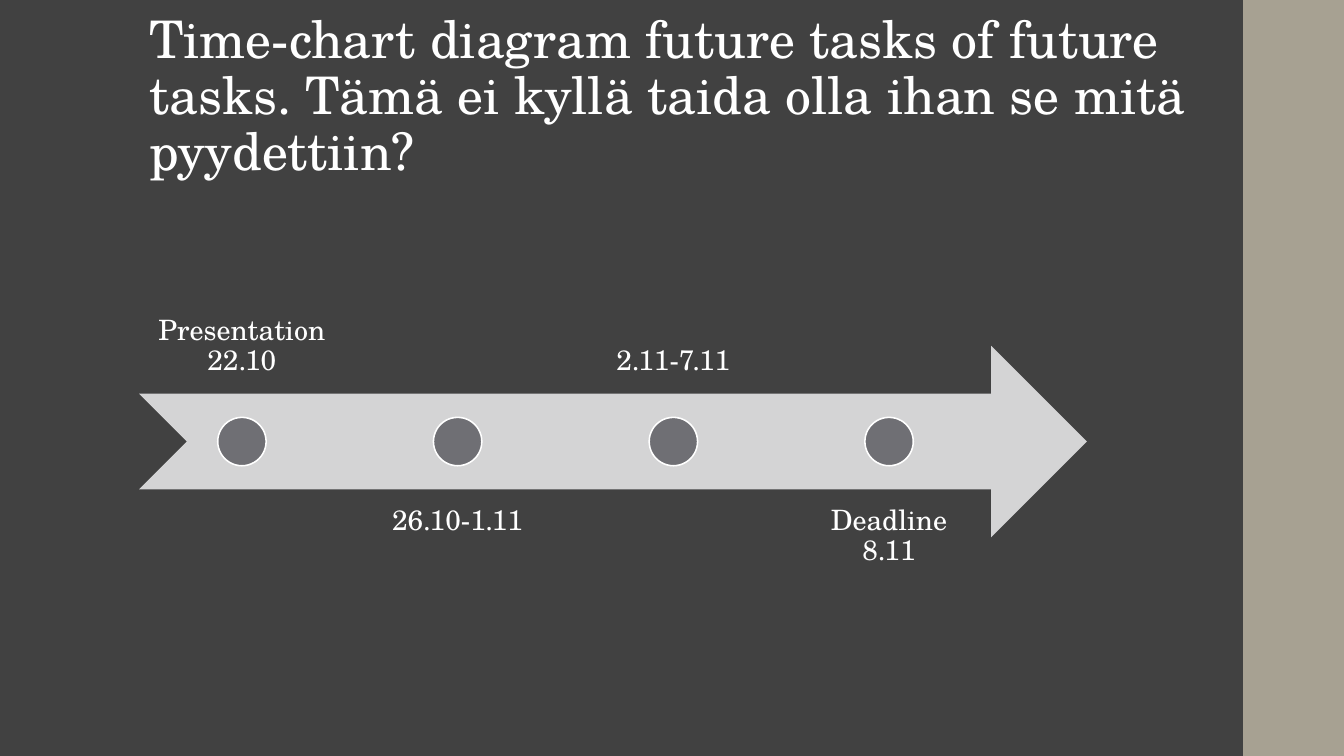
from dataclasses import dataclass

from pptx import Presentation
from pptx.dml.color import RGBColor
from pptx.enum.shapes import MSO_SHAPE
from pptx.enum.text import MSO_ANCHOR, MSO_AUTO_SIZE, PP_ALIGN
from pptx.shapes.autoshape import Shape
from pptx.shapes.shapetree import GroupShapes
from pptx.text.text import TextFrame
from pptx.util import Inches, Pt

WIDE, HIGH = Inches(13.33), Inches(7.5)


@dataclass(frozen=True)
class Theme:
    back: RGBColor = RGBColor.from_string("414141")
    band: RGBColor = RGBColor.from_string("A7A192")
    track: RGBColor = RGBColor.from_string("D4D4D5")
    dot: RGBColor = RGBColor.from_string("6F6F74")
    text: RGBColor = RGBColor.from_string("FFFFFF")
    face: str = "TeX Gyre Schola"
    head: int = 37
    label: int = 20
    rim: float = 1.1


@dataclass(frozen=True)
class Box:
    """Percent shares of the slide's width and height."""

    left: float
    top: float
    width: float
    height: float

    def place(self) -> tuple[int, int, int, int]:
        return (
            round(WIDE * self.left / 100),
            round(HIGH * self.top / 100),
            round(WIDE * self.width / 100),
            round(HIGH * self.height / 100),
        )


@dataclass(frozen=True)
class Event:
    text: str
    above: bool


THEME = Theme()
LEFT, STEP, SPAN = 10.35, 16.05, 15.3
TOP, ROW, TALL = 26.67, 19.07, 25.33
DOT_WIDE, DOT_HIGH = 3.6, 6.4
EVENTS = [
    Event("Presentation 22.10", True),
    Event("26.10-1.11", False),
    Event("2.11-7.11", True),
    Event("Deadline 8.11", False),
]


def add_form(shapes: GroupShapes, kind: MSO_SHAPE, box: Box, fill: RGBColor) -> Shape:
    form = shapes.add_shape(kind, *box.place())
    form.shadow.inherit = False
    form.fill.solid()
    form.fill.fore_color.rgb = fill
    form.line.fill.background()
    return form


def set_text(frame: TextFrame, text: str, size: int, align: PP_ALIGN, anchor: MSO_ANCHOR) -> None:
    frame.word_wrap = True
    frame.auto_size = MSO_AUTO_SIZE.NONE
    frame.vertical_anchor = anchor
    frame.text = text
    line = frame.paragraphs[0]
    line.alignment = align
    line.line_spacing = 0.9
    line.space_before = Pt(0)
    line.font.name = THEME.face
    line.font.size = Pt(size)
    line.font.color.rgb = THEME.text


def add_event(shapes: GroupShapes, event: Event, index: int) -> None:
    left = LEFT + index * STEP
    top = TOP if event.above else TOP + 2 * ROW
    label = shapes.add_textbox(*Box(left, top, SPAN, TALL).place())
    frame = label.text_frame
    frame.margin_left = frame.margin_right = Inches(0.16)
    frame.margin_top = frame.margin_bottom = Inches(0.16)
    anchor = MSO_ANCHOR.BOTTOM if event.above else MSO_ANCHOR.TOP
    set_text(frame, event.text, THEME.label, PP_ALIGN.CENTER, anchor)

    spot = Box(
        left + (SPAN - DOT_WIDE) / 2,
        TOP + ROW + (TALL - DOT_HIGH) / 2,
        DOT_WIDE,
        DOT_HIGH,
    )
    dot = add_form(shapes, MSO_SHAPE.OVAL, spot, THEME.dot)
    dot.line.color.rgb = THEME.text
    dot.line.width = Pt(THEME.rim)


def main() -> None:
    deck = Presentation()
    deck.slide_width, deck.slide_height = WIDE, HIGH
    slide = deck.slides.add_slide(deck.slide_layouts[5])
    slide.background.fill.solid()
    slide.background.fill.fore_color.rgb = THEME.back
    shapes = slide.shapes

    title = shapes.title
    add_form(shapes, MSO_SHAPE.RECTANGLE, Box(0, 0, 100, 100), THEME.back)
    shapes.element.append(title.element)
    title.left, title.top, title.width, title.height = Box(LEFT, 5.33, 79.52, 19.33).place()
    set_text(
        title.text_frame,
        "Time-chart diagram future tasks of future tasks. "
        "Tämä ei kyllä taida olla ihan se mitä pyydettiin?",
        THEME.head,
        PP_ALIGN.LEFT,
        MSO_ANCHOR.BOTTOM,
    )

    chart = shapes.add_group_shape().shapes
    add_form(chart, MSO_SHAPE.NOTCHED_RIGHT_ARROW, Box(LEFT, TOP + ROW, 70.52, TALL), THEME.track)
    for index, event in enumerate(EVENTS):
        add_event(chart, event, index)

    add_form(shapes, MSO_SHAPE.RECTANGLE, Box(92.5, 0, 7.5, 100), THEME.band)
    deck.save("out.pptx")


if __name__ == "__main__":
    main()
